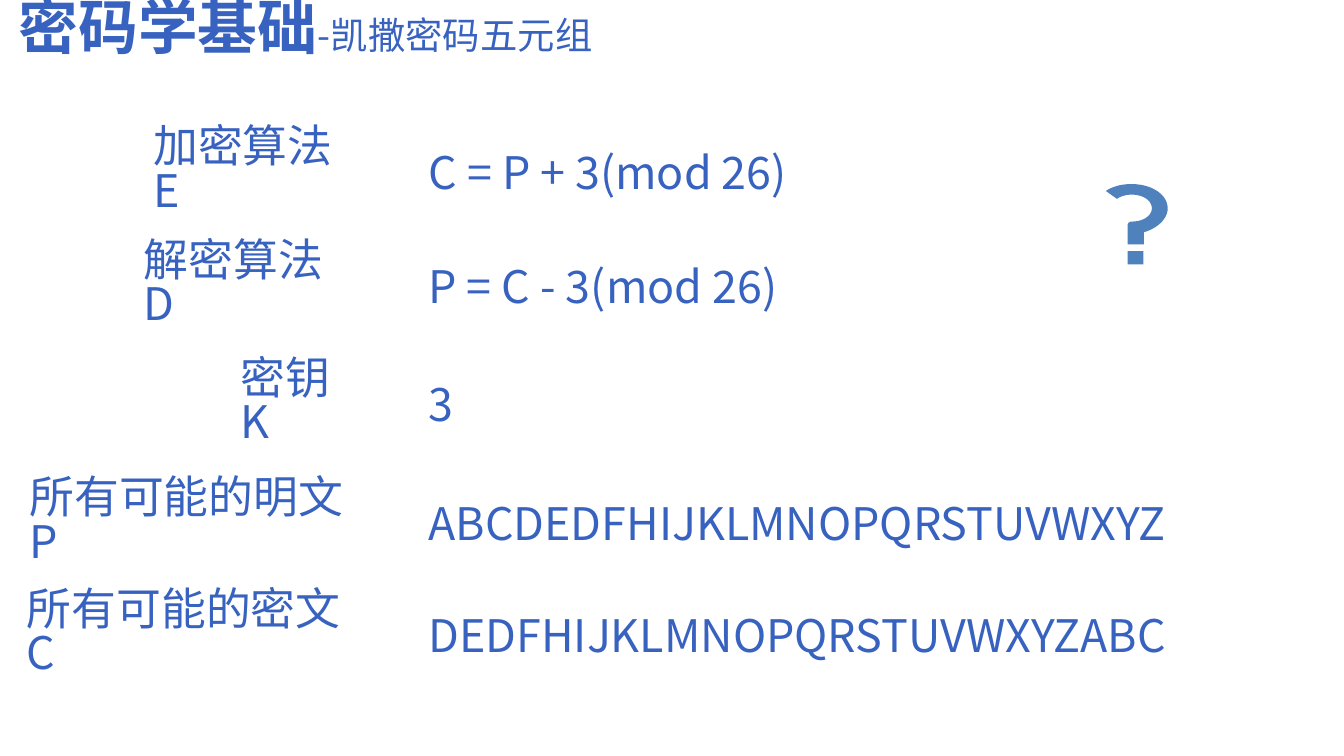
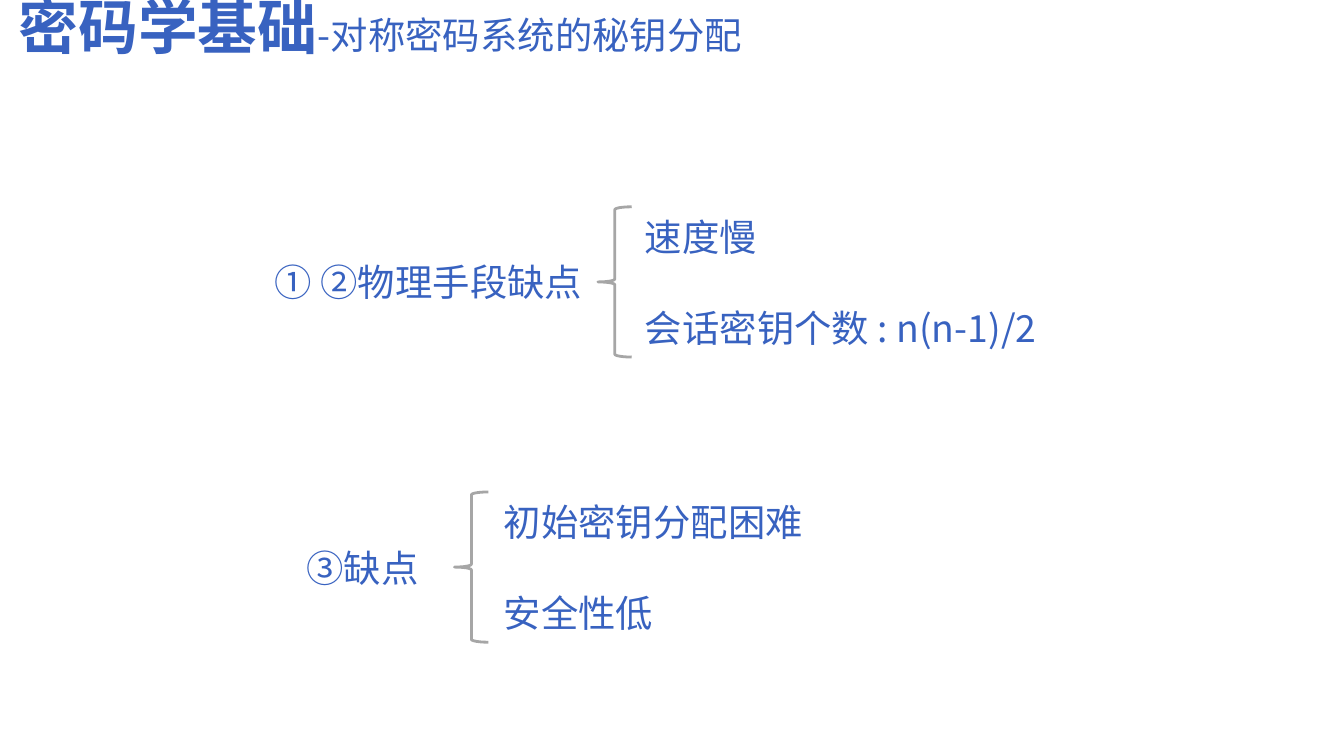
from dataclasses import dataclass

import pptx
import pptx.dml.color
import pptx.enum.shapes
import pptx.enum.text
import pptx.oxml
import pptx.oxml.ns
import pptx.presentation
import pptx.shapes.base
import pptx.slide
import pptx.text.text
import pptx.util
from pptx.util import Cm

FONT = "Noto Sans CJK SC"
COLORS = {"text": "3862C0", "mark": "4F81BD", "brace": "A6A6A6", "paper": "FFFFFF"}
ALIGN = pptx.enum.text.PP_ALIGN
SHAPE = pptx.enum.shapes.MSO_SHAPE

Point = tuple[float, float]


@dataclass(frozen=True)
class TupleRow:
    """One member of the cipher five-tuple; lengths in cm."""
    label: str
    label_left: float
    value: str
    value_width: float
    top: float


@dataclass(frozen=True)
class BraceItem:
    text: str
    width: float


@dataclass(frozen=True)
class BraceGroup:
    """A label, a brace and the items it opens to; lengths in cm."""
    label: str
    label_left: float
    label_width: float
    brace_left: float
    items_left: float
    top: float
    items: tuple[BraceItem, ...]


LABEL_RIGHT = 7.05
VALUE_LEFT = 8.1
ROW_HEIGHT = 1.02
TUPLE_ROWS = (
    TupleRow("加密算法 E", 2.9, "C = P + 3(mod 26)", 7.59, 2.74),
    TupleRow("解密算法 D", 2.72, "P = C - 3(mod 26)", 7.34, 4.88),
    TupleRow("密钥 K", 4.55, "3", 0.51, 7.11),
    TupleRow("所有可能的明文P", 0.56, "ABCDEDFHIJKLMNOPQRSTUVWXYZ", 14.83, 9.37),
    TupleRow("所有可能的密文C", 0.51, "DEDFHIJKLMNOPQRSTUVWXYZABC", 14.83, 11.48),
)

BRACE_WIDTH, BRACE_HEIGHT = 0.64, 2.84
ITEM_HEIGHT = 1.12
BRACE_GROUPS = (
    BraceGroup("① ②物理手段缺点", 4.9, 6.4, 11.3, 11.94, 3.91,
               (BraceItem("速度慢", 3.4), BraceItem("会话密钥个数 : n(n-1)/2", 8.97))),
    BraceGroup("③缺点", 5.46, 2.79, 8.59, 9.27, 9.3,
               (BraceItem("初始密钥分配困难", 6.43), BraceItem("安全性低", 5.79))),
)

# Hook of the question mark: a start point, then lines (1 point) or curves (3 points).
HOOK_START: Point = (22.07, 3.94)
HOOK_STEPS: tuple[tuple[Point, ...], ...] = (
    ((22.07, 3.68), (21.77, 3.48), (21.39, 3.48)),
    ((21.18, 3.48), (21.03, 3.53), (20.9, 3.61)),
    ((21.11, 3.76),),
    ((21.18, 3.71), (21.29, 3.68), (21.39, 3.68)),
    ((21.59, 3.68), (21.77, 3.78), (21.77, 3.94)),
    ((21.77, 4.09), (21.59, 4.19), (21.39, 4.19)),
    ((21.31, 4.19), (21.31, 4.27), (21.31, 4.27)),
    ((21.31, 4.62),),
    ((21.62, 4.62),),
    ((21.62, 4.39),),
    ((21.87, 4.32), (22.07, 4.14), HOOK_START),
)


def rgb(name: str) -> pptx.dml.color.RGBColor:
    return pptx.dml.color.RGBColor.from_string(COLORS[name])


def add_span(para: pptx.text.text._Paragraph, text: str, size: float,
             bold: bool = False) -> None:
    span = para.add_run()
    span.text = text
    span.font.size = pptx.util.Pt(size)
    span.font.bold = bold
    span.font.color.rgb = rgb("text")
    span.font.name = FONT
    east_asian = pptx.oxml.parse_xml(
        f'<a:ea {pptx.oxml.ns.nsdecls("a")} typeface="{FONT}"/>')
    span.font._element.append(east_asian)


def add_text(page: pptx.slide.Slide, text: str, left: float, top: float,
             width: float, height: float, size: float, align: ALIGN = ALIGN.LEFT,
             left_inset: float = 0.25, right_inset: float = 0.25,
             spacing: float = 1.0) -> None:
    box = page.shapes.add_textbox(Cm(left), Cm(top), Cm(width), Cm(height))
    frame = box.text_frame
    frame.word_wrap = True
    frame.vertical_anchor = pptx.enum.text.MSO_ANCHOR.MIDDLE
    frame.margin_left, frame.margin_right = Cm(left_inset), Cm(right_inset)
    frame.margin_top = frame.margin_bottom = 0
    para = frame.paragraphs[0]
    para.alignment = align
    para.line_spacing = spacing
    add_span(para, text, size)


def add_page(deck: pptx.presentation.Presentation, subtitle: str,
             title_width: float) -> pptx.slide.Slide:
    """Add a slide with the shared two-size title."""
    page = deck.slides.add_slide(deck.slide_layouts.get_by_name("Title Only"))
    title = page.shapes.title
    title.left, title.top = Cm(0.1), Cm(-0.05)
    title.width, title.height = Cm(title_width), Cm(1.24)
    frame = title.text_frame
    frame.auto_size = pptx.enum.text.MSO_AUTO_SIZE.NONE
    frame.word_wrap = True
    frame.vertical_anchor = pptx.enum.text.MSO_ANCHOR.MIDDLE
    para = frame.paragraphs[0]
    para.alignment = ALIGN.LEFT
    para.line_spacing = 0.9
    add_span(para, "密码学基础", 32, bold=True)
    add_span(para, f"-{subtitle}", 20)
    return page


def flatten(start: Point, steps: tuple[tuple[Point, ...], ...],
            pieces: int = 12) -> list[Point]:
    """Turn lines and cubic curves into a list of vertices."""
    points = [start]
    for step in steps:
        if len(step) == 1:
            points.append(step[0])
            continue
        corners = (points[-1], *step)
        for index in range(1, pieces + 1):
            t = index / pieces
            weights = ((1 - t) ** 3, 3 * t * (1 - t) ** 2, 3 * t * t * (1 - t), t ** 3)
            x, y = (sum(w * corner[axis] for w, corner in zip(weights, corners))
                    for axis in (0, 1))
            points.append((x, y))
    return points


def paint_mark(part: pptx.shapes.base.BaseShape) -> None:
    part.shadow.inherit = False
    part.fill.solid()
    part.fill.fore_color.rgb = rgb("mark")
    part.line.fill.background()


def add_question_mark(page: pptx.slide.Slide) -> None:
    group = page.shapes.add_group_shape()
    paint_mark(group.shapes.add_shape(SHAPE.RECTANGLE, Cm(21.31), Cm(4.75),
                                      Cm(0.3), Cm(0.25)))
    vertices = [(Cm(x), Cm(y)) for x, y in flatten(HOOK_START, HOOK_STEPS)]
    builder = group.shapes.build_freeform(*vertices[0])
    builder.add_line_segments(vertices[1:], close=True)
    paint_mark(builder.convert_to_shape())


def add_tuple_row(page: pptx.slide.Slide, row: TupleRow) -> None:
    # The right inset sends the symbol to a second line.
    add_text(page, row.label, row.label_left, row.top, LABEL_RIGHT - row.label_left,
             ROW_HEIGHT, 24, left_inset=0, spacing=0.83)
    add_text(page, row.value, VALUE_LEFT, row.top, row.value_width, ROW_HEIGHT, 24,
             left_inset=0, right_inset=0)


def add_brace_group(page: pptx.slide.Slide, group: BraceGroup) -> None:
    slack = BRACE_HEIGHT - ITEM_HEIGHT
    add_text(page, group.label, group.label_left, group.top + slack / 2,
             group.label_width, ITEM_HEIGHT, 20, ALIGN.CENTER)
    for index, item in enumerate(group.items):
        top = group.top + index * slack / (len(group.items) - 1)
        add_text(page, item.text, group.items_left, top, item.width, ITEM_HEIGHT, 20)
    brace = page.shapes.add_shape(SHAPE.LEFT_BRACE, Cm(group.brace_left), Cm(group.top),
                                  Cm(BRACE_WIDTH), Cm(BRACE_HEIGHT))
    brace.shadow.inherit = False
    brace.fill.solid()
    brace.fill.fore_color.rgb = rgb("paper")
    brace.line.color.rgb = rgb("brace")
    brace.line.width = pptx.util.Pt(1.5)


def main() -> None:
    deck = pptx.Presentation()
    deck.slide_width, deck.slide_height = Cm(25.4), Cm(14.29)

    page = add_page(deck, "凯撒密码五元组", 14.33)
    for row in TUPLE_ROWS:
        add_tuple_row(page, row)
    add_question_mark(page)

    page = add_page(deck, "对称密码系统的秘钥分配", 16.41)
    for group in BRACE_GROUPS:
        add_brace_group(page, group)

    deck.save("out.pptx")


if __name__ == "__main__":
    main()
